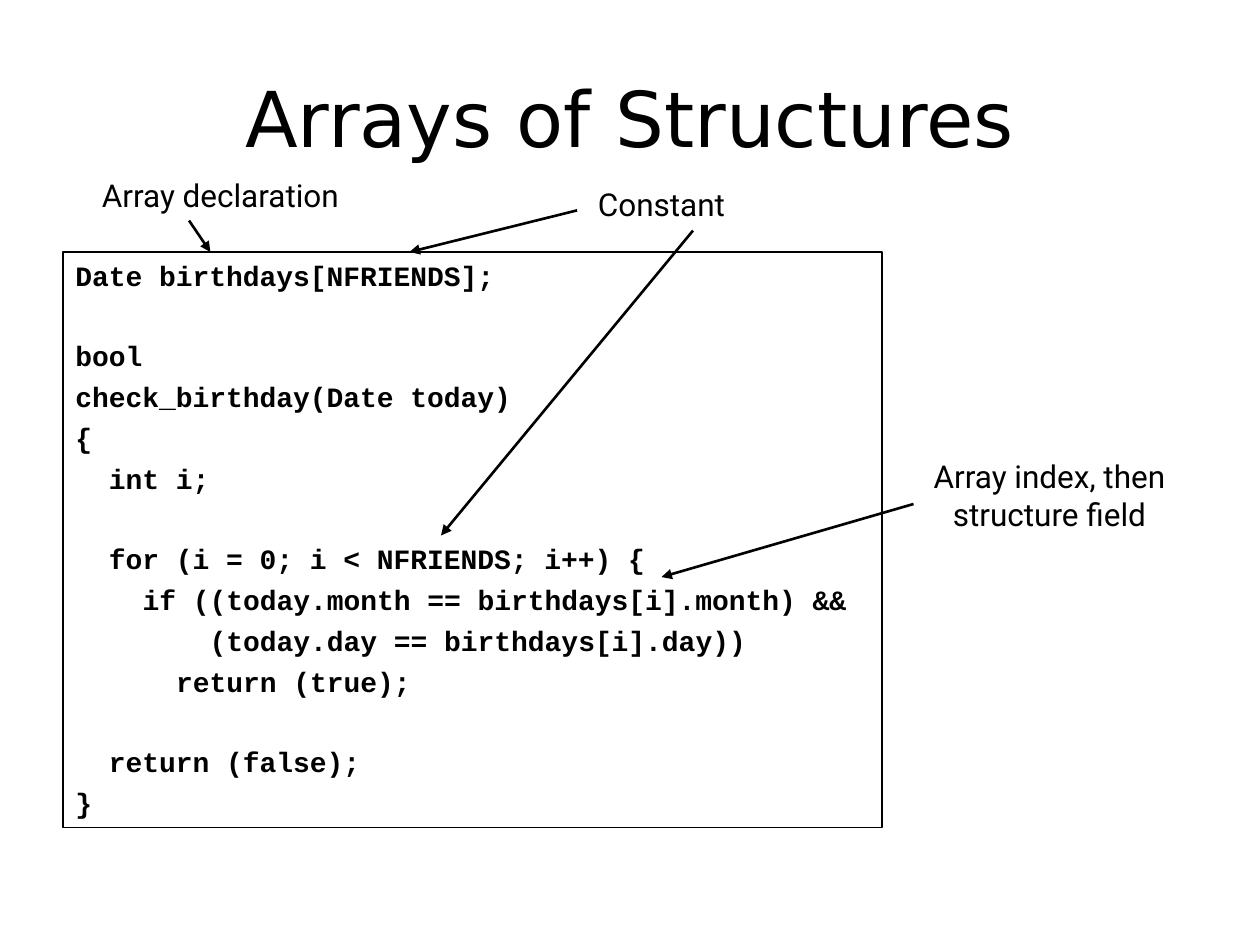
from pptx import Presentation
from pptx.dml.color import RGBColor
from pptx.enum.shapes import MSO_CONNECTOR, MSO_SHAPE
from pptx.enum.text import MSO_ANCHOR, PP_ALIGN
from pptx.oxml.ns import qn
from pptx.util import Inches, Pt
from lxml.etree import SubElement

BLACK = RGBColor(0, 0, 0)
CODE_SIZE = 16
CODE_SPACING = 4.25
CODE_LINE = 22.37
CHARACTER_WIDTH = CODE_SIZE * 0.6 / 72

CODE = """Date birthdays[NFRIENDS];

bool
check_birthday(Date today)
{
  int i;

  for (i = 0; i < NFRIENDS; i++) {
    if ((today.month == birthdays[i].month) &&
        (today.day == birthdays[i].day))
      return (true);

  return (false);
}"""

LABELS = [
    ("Constant", (4.5, 1.42, 1.5, 0.4)),
    ("Array declaration", (0.5, 1.35, 2.5, 0.4)),
    ("Array index, then structure field", (7.08, 3.58, 2.5, 0.7)),
]

ARROWS = [
    (4.58, 1.67, 3.25, 2),
    (1.5, 1.75, 1.67, 2),
    (7.25, 4, 5.25, 4.58),
    (5.5, 1.83, 3.5, 4.25),
]


def format_runs(paragraph, font_name, size, bold=False):
    """Give every run of a paragraph its font."""
    for run in paragraph.runs:
        run.font.name = font_name
        run.font.size = Pt(size)
        run.font.bold = bold
        run.font.color.rgb = BLACK


def add_label(slide, box, text, font_name, size, anchor=MSO_ANCHOR.TOP):
    """Place centred text in the given box."""
    text_frame = slide.shapes.add_textbox(*map(Inches, box)).text_frame
    text_frame.word_wrap = True
    text_frame.vertical_anchor = anchor
    text_frame.text = text
    paragraph = text_frame.paragraphs[0]
    paragraph.alignment = PP_ALIGN.CENTER
    format_runs(paragraph, font_name, size)


def add_code(slide, box, code):
    """Place a framed listing, with indents and gaps taken from its layout."""
    shape = slide.shapes.add_shape(MSO_SHAPE.RECTANGLE, *map(Inches, box))
    shape.shadow.inherit = False
    shape.fill.background()
    shape.line.color.rgb = BLACK
    shape.line.width = Pt(0.75)
    text_frame = shape.text_frame
    text_frame.word_wrap = True
    text_frame.vertical_anchor = MSO_ANCHOR.TOP
    lines = code.split("\n")
    text_frame.text = "\n".join(line.lstrip() for line in lines if line)
    paragraphs = iter(text_frame.paragraphs)
    gap = 0
    for line in lines:
        if not line:
            gap += CODE_LINE
            continue
        paragraph = next(paragraphs)
        paragraph.alignment = PP_ALIGN.LEFT
        paragraph.space_before = Pt(CODE_SPACING + gap)
        indent = len(line) - len(line.lstrip())
        properties = paragraph._p.get_or_add_pPr()
        properties.set("marL", str(Inches(indent * CHARACTER_WIDTH)))
        properties.set("indent", "0")
        format_runs(paragraph, "Courier New", CODE_SIZE, bold=True)
        gap = 0


def add_arrow(slide, ends):
    """Draw a straight arrow from the first point to the second."""
    connector = slide.shapes.add_connector(MSO_CONNECTOR.STRAIGHT, *map(Inches, ends))
    connector.line.color.rgb = BLACK
    connector.line.width = Pt(1.5)
    SubElement(connector.line._get_or_add_ln(), qn("a:tailEnd"), type="triangle")
    SubElement(connector._element.spPr, qn("a:effectLst"))


def main():
    """Build the slide and save it."""
    presentation = Presentation()
    presentation.slide_width = Inches(10)
    presentation.slide_height = Inches(7.5)
    slide = presentation.slides.add_slide(presentation.slide_layouts[6])
    add_label(slide, (0.5, 0.3, 9, 1.25), "Arrays of Structures",
              "DejaVu Sans", 44, MSO_ANCHOR.MIDDLE)
    add_code(slide, (0.5, 2, 6.5, 4.57), CODE)
    for text, box in LABELS:
        add_label(slide, box, text, "Roboto", 18)
    for ends in ARROWS:
        add_arrow(slide, ends)
    presentation.save("out.pptx")


if __name__ == "__main__":
    main()
